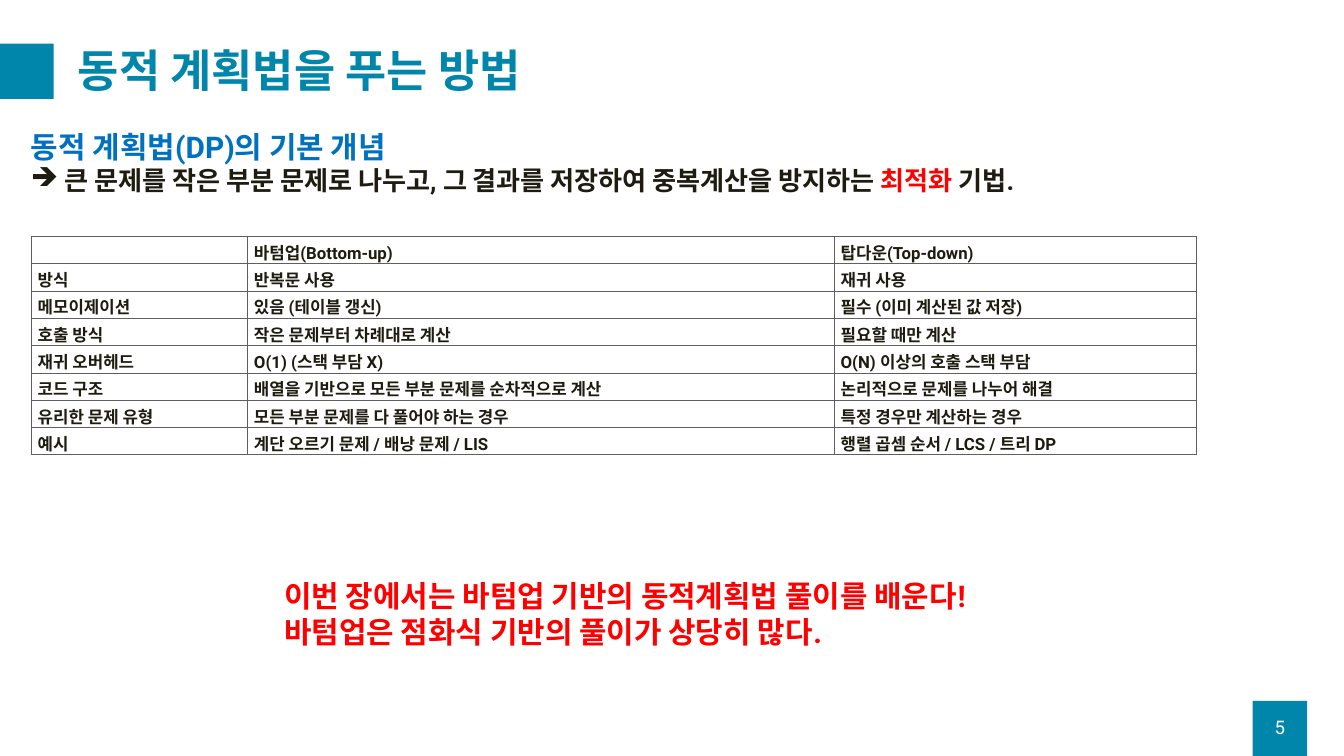
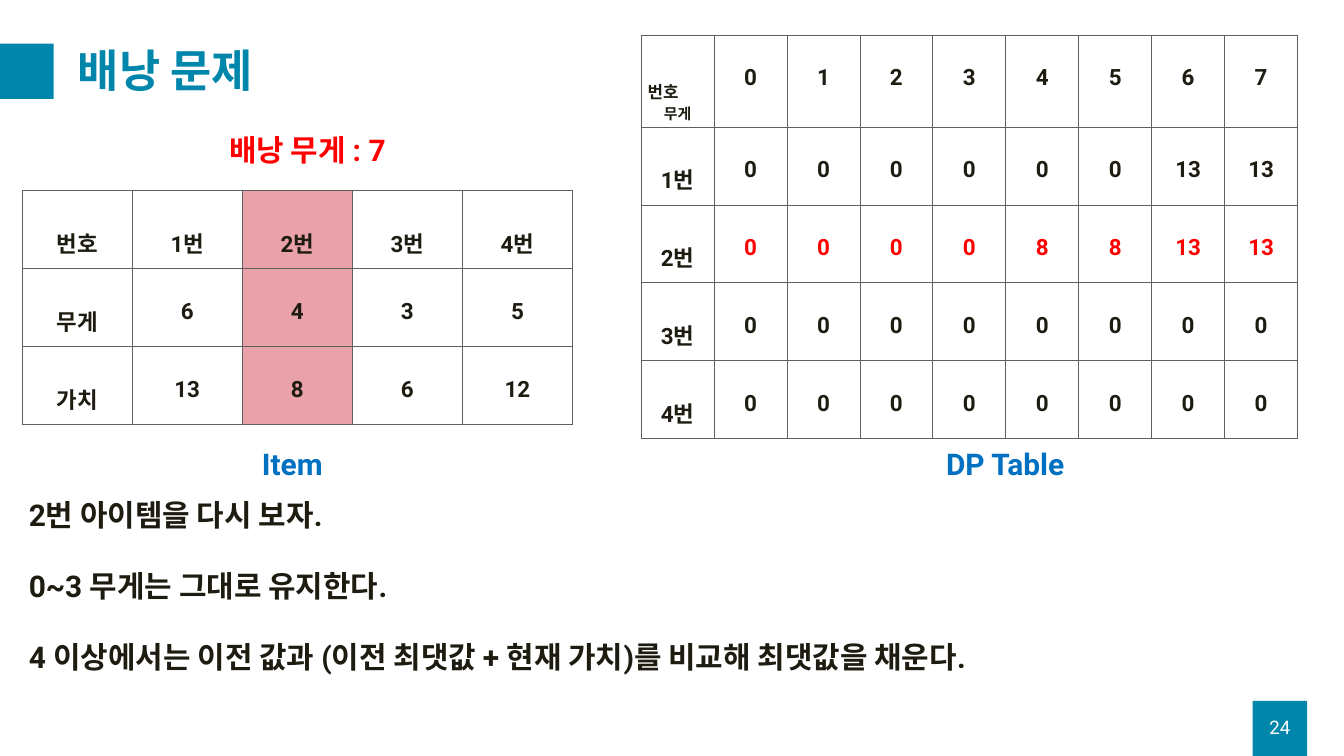
"""Two slides on dynamic programming: the ways to solve it and the knapsack."""
from dataclasses import dataclass
from typing import NamedTuple

from lxml.etree import SubElement as Sub
from pptx import Presentation
from pptx.dml.color import RGBColor as Rgb
from pptx.enum.shapes import MSO_SHAPE as Shape
from pptx.enum.text import MSO_ANCHOR as Anchor, MSO_AUTO_SIZE as Fit, PP_ALIGN as Align
from pptx.oxml.ns import qn
from pptx.util import Inches, Pt


@dataclass(frozen=True)
class Theme:
    """Colours, font and type sizes shared by the slides."""
    font: str = "Roboto"
    teal: str = "0086AB"
    blue: str = "0070C0"
    red: str = "FF0000"
    pink: str = "E9A1AA"
    ink: str = "1E1C11"
    rule: str = "5F5F5F"
    white: str = "FFFFFF"
    title: int = 48
    head: int = 32
    body: int = 28
    cell: int = 24
    page: int = 20
    small: int = 18
    tiny: int = 16


class Box(NamedTuple):
    """A place on the slide in inches."""
    x: float
    y: float
    w: float
    h: float

    def inner(self, x, y, w, h):
        """Return a box placed relative to this one."""
        return Box(self.x + x, self.y + y, w, h)

    def span(self):
        """Return the four lengths as slide units."""
        return [Inches(n) for n in self]


T = Theme()
PAGE = Box(0, 0, 20, 11.25)

WAYS = [
    ("", "바텀업(Bottom-up)", "탑다운(Top-down)"),
    ("방식", "반복문 사용", "재귀 사용"),
    ("메모이제이션", "있음 (테이블 갱신)", "필수 (이미 계산된 값 저장)"),
    ("호출 방식", "작은 문제부터 차례대로 계산", "필요할 때만 계산"),
    ("재귀 오버헤드", "O(1) (스택 부담 X)", "O(N) 이상의 호출 스택 부담"),
    ("코드 구조", "배열을 기반으로 모든 부분 문제를 순차적으로 계산", "논리적으로 문제를 나누어 해결"),
    ("유리한 문제 유형", "모든 부분 문제를 다 풀어야 하는 경우", "특정 경우만 계산하는 경우"),
    ("예시", "계단 오르기 문제 / 배낭 문제 / LIS", "행렬 곱셈 순서 / LCS / 트리 DP"),
]
ITEMS = [
    ("번호", "1번", "2번", "3번", "4번"),
    ("무게", 6, 4, 3, 5),
    ("가치", 13, 8, 6, 12),
]
BEST = [
    ("무게", *range(8)),
    ("1번", *[0] * 6, 13, 13),
    ("2번", *[0] * 4, 8, 8, 13, 13),
    ("3번", *[0] * 8),
    ("4번", *[0] * 8),
]


def style(para, size, color, bold=True, align=Align.LEFT):
    """Set the type of a whole paragraph."""
    para.alignment = align
    font = para.font
    font.name, font.size, font.bold = T.font, Pt(size), bold
    font.color.rgb = Rgb.from_string(color)


def write(slide, box, lines, color, size=T.head, gap=0):
    """Add a text box with one paragraph for each line."""
    frame = slide.shapes.add_textbox(*box.span()).text_frame
    frame.word_wrap = True
    frame.auto_size = Fit.SHAPE_TO_FIT_TEXT
    for i, line in enumerate(lines):
        para = frame.paragraphs[0] if i == 0 else frame.add_paragraph()
        para.text = line
        style(para, size, color)
        if i:
            para.space_before = Pt(gap)
    return frame


def square(slide, box):
    """Add a plain teal block."""
    block = slide.shapes.add_shape(Shape.RECTANGLE, *box.span())
    block.shadow.inherit = False
    block.fill.solid()
    block.fill.fore_color.rgb = Rgb.from_string(T.teal)
    block.line.fill.background()


def start(deck, title, page, box=PAGE):
    """Add a slide with its title, blocks and page number."""
    slide = deck.slides.add_slide(deck.slide_layouts[5])
    square(slide, box.inner(18.64, 10.43, 0.81, 0.82))
    square(slide, box.inner(-0.01, 0.65, 0.81, 0.82))
    head = slide.shapes.title
    head.left, head.top, head.width, head.height = box.inner(1.06, 0.5, 18.25, 1.18).span()
    frame = head.text_frame
    frame.text = title
    frame.auto_size = Fit.NONE
    frame.vertical_anchor = Anchor.MIDDLE
    frame.paragraphs[0].line_spacing = 0.9
    style(frame.paragraphs[0], T.title, T.teal)
    label = write(slide, box.inner(18.64, 10.52, 0.81, 0.6), [str(page)], T.white, T.page)
    label.auto_size = Fit.NONE
    label.vertical_anchor = Anchor.MIDDLE
    style(label.paragraphs[0], T.page, T.white, False, Align.CENTER)
    return slide


def border(cell):
    """Draw a thin line on each side of a cell."""
    props = cell._tc.get_or_add_tcPr()
    for side in ("lnL", "lnR", "lnT", "lnB"):
        line = Sub(props, qn("a:" + side), w=str(Pt(1)))
        Sub(Sub(line, qn("a:solidFill")), qn("a:srgbClr"), val=T.rule)


def grid(slide, box, rows, widths, size, align=Align.LEFT, space=None):
    """Add a ruled table with equal rows and the given column widths."""
    table = slide.shapes.add_table(len(rows), len(widths), *box.span()).table
    table.first_row = table.horz_banding = False
    for col, width in zip(table.columns, widths):
        col.width = Inches(width)
    for row, words in zip(table.rows, rows):
        row.height = Inches(box.h / len(rows))
        for cell, word in zip(row.cells, words):
            cell.text = str(word)
            para = cell.text_frame.paragraphs[0]
            style(para, size, T.ink, align=align)
            para.line_spacing = space
            border(cell)
            tint(cell, T.white)
    return table


def tint(cell, color):
    """Fill a cell with one colour."""
    cell.fill.solid()
    cell.fill.fore_color.rgb = Rgb.from_string(color)


def concept(slide, box):
    """Write the basic idea with its arrow bullet."""
    frame = write(slide, box, ["동적 계획법(DP)의 기본 개념"], T.blue)
    para = frame.add_paragraph()
    style(para, T.body, T.ink)
    props = para._p.get_or_add_pPr()
    props.set("marL", str(Inches(0.5)))
    props.set("indent", str(-Inches(0.5)))
    mark = Sub(props, qn("a:buChar"), char="➔")
    props.insert(0, mark)
    parts = [
        ("큰 문제를 작은 부분 문제로 나누고, 그 결과를 저장하여 중복계산을 방지하는 ", T.ink),
        ("최적화", T.red),
        (" 기법.", T.ink),
    ]
    for words, color in parts:
        run = para.add_run()
        run.text = words
        run.font.color.rgb = Rgb.from_string(color)


def items(slide, box):
    """Place the item table with its limit above and name below."""
    write(slide, box.inner(2.98, -0.93, 6.28, 0.64), ["배낭 무게 : 7"], T.red)
    count = len(ITEMS[0])
    table = grid(slide, box, ITEMS, [box.w / count] * count, T.cell, Align.CENTER, 2.0)
    for row in table.rows:
        tint(row.cells[2], T.pink)
    write(slide, box.inner(3.47, 3.74, 3.14, 0.64), ["Item"], T.blue)


def results(slide, box):
    """Place the table of best values with its corner labels and name."""
    count = len(BEST[0])
    table = grid(slide, box, BEST, [box.w / count] * count, T.cell, Align.CENTER, 2.0)
    table.rows[0].height = Inches(1.37)
    corner = table.cell(0, 0)
    corner.vertical_anchor = Anchor.BOTTOM
    para = corner.text_frame.paragraphs[0]
    para.line_spacing = 1.0
    style(para, T.tiny, T.ink, align=Align.CENTER)
    for col in range(1, count):
        style(table.cell(2, col).text_frame.paragraphs[0], T.cell, T.red, align=Align.CENTER)
    write(slide, box.inner(4.44, 6.06, 3.14, 0.64), ["DP Table"], T.blue)
    write(slide, box.inner(0, 0.65, 0.8, 0.4), ["번호"], T.ink, T.small)


def methods(deck):
    """Build the slide that compares the two ways."""
    slide = start(deck, "동적 계획법을 푸는 방법", 5)
    concept(slide, Box(0.36, 1.87, 18.95, 1.11))
    grid(slide, Box(0.46, 3.52, 17.35, 3.25), WAYS, (3.22, 8.73, 5.4), T.small)
    write(slide, Box(4.13, 8.55, 11.19, 1.18), [
        "이번 장에서는 바텀업 기반의 동적계획법 풀이를 배운다!",
        "바텀업은 점화식 기반의 풀이가 상당히 많다.",
    ], T.red)


def knapsack(deck):
    """Build the slide that fills the second row."""
    slide = start(deck, "배낭 문제", 24)
    items(slide, Box(0.33, 2.84, 8.19, 3.48))
    results(slide, Box(9.54, 0.52, 9.77, 5.8))
    write(slide, Box(0.33, 7.34, 19.16, 2.79), [
        "2번 아이템을 다시 보자.",
        "0~3 무게는 그대로 유지한다.",
        "4 이상에서는 이전 값과 (이전 최댓값 + 현재 가치)를 비교해 최댓값을 채운다.",
    ], T.ink, gap=37.5)


def main():
    """Build and save the deck."""
    deck = Presentation()
    deck.slide_width, deck.slide_height = Inches(PAGE.w), Inches(PAGE.h)
    methods(deck)
    knapsack(deck)
    deck.save("out.pptx")


if __name__ == "__main__":
    main()
